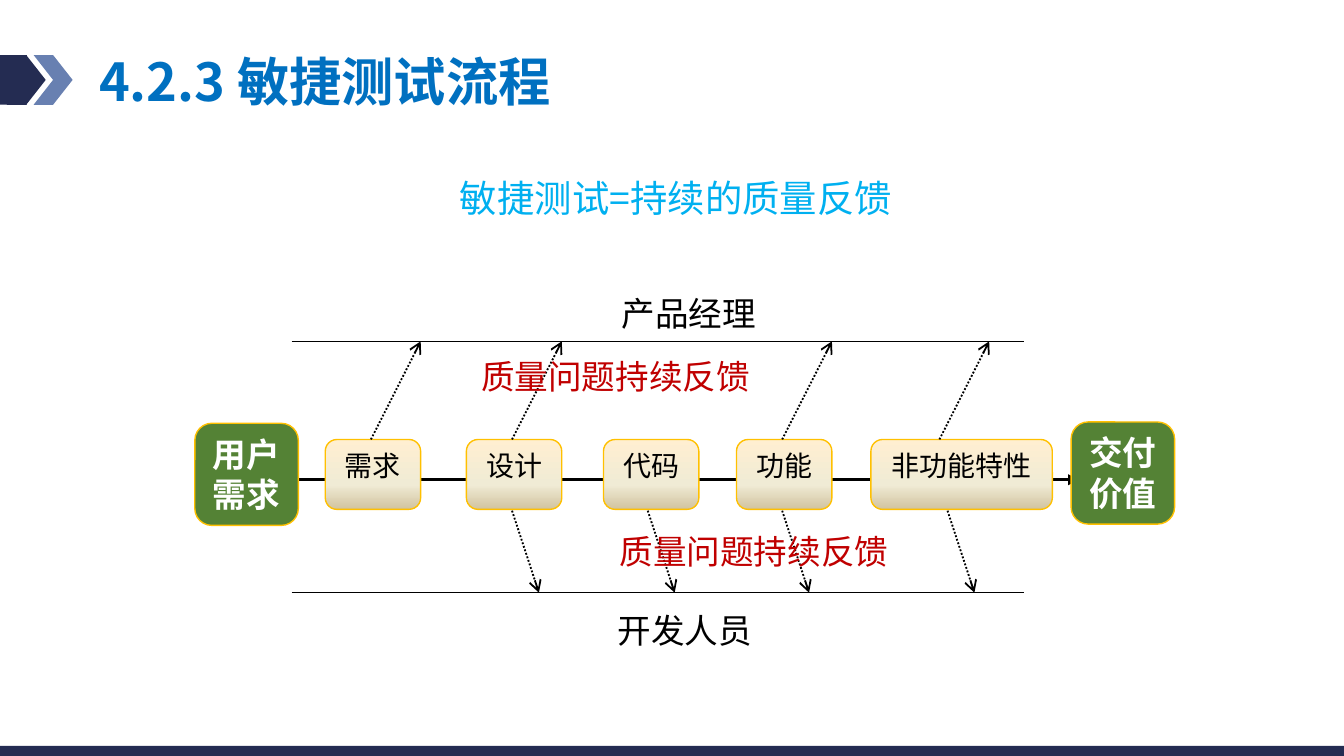
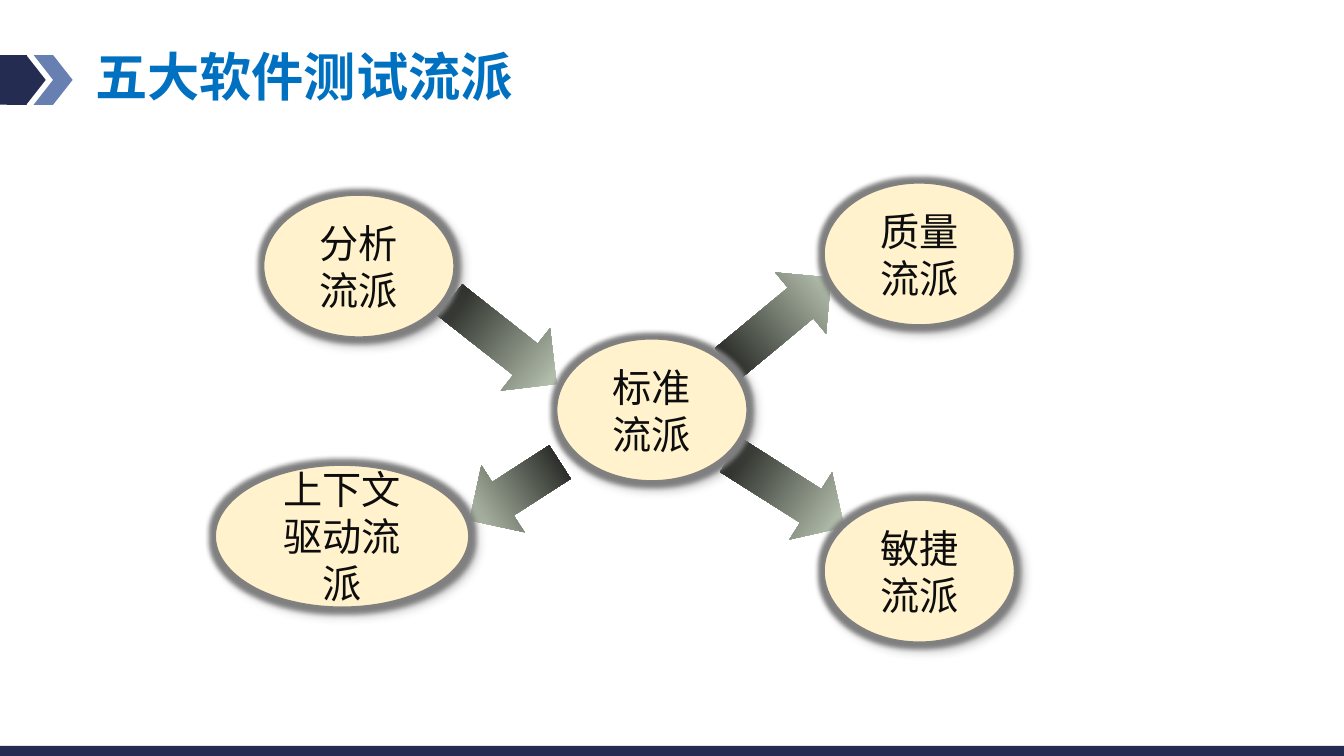
from lxml import etree
from pptx import Presentation
from pptx import util as u
from pptx.dml.color import RGBColor
from pptx.enum import dml, shapes, text
from pptx.oxml import ns

NAVY = RGBColor(0x24, 0x2C, 0x52)
STEEL = RGBColor(0x68, 0x80, 0xB1)
BLUE = RGBColor(0x00, 0x70, 0xC0)
SKY = RGBColor(0x00, 0xB0, 0xF0)
GOLD = RGBColor(0xFF, 0xC0, 0x00)
GREEN = RGBColor(0x54, 0x82, 0x35)
RED = RGBColor(0xC0, 0x00, 0x00)
CREAM = RGBColor(0xFF, 0xF2, 0xCC)
GREY = RGBColor(0x80, 0x80, 0x80)
SHADE = RGBColor(0x59, 0x59, 0x59)
INK = RGBColor(0x0D, 0x0D, 0x0D)
BLACK = RGBColor(0, 0, 0)
WHITE = RGBColor(0xFF, 0xFF, 0xFF)
SAND = [(0, RGBColor(0xFF, 0xEF, 0xD1)), (65, RGBColor(0xF0, 0xEB, 0xD5)),
        (100, RGBColor(0xD1, 0xC3, 0x9F))]
MOSS = [(0, RGBColor(0xE2, 0xF0, 0xD9)), (100, BLACK)]

SANS, BODY = "Noto Sans CJK SC", "Calibri"
COLS, ROWS = 100, 56.25
KIND = shapes.MSO_SHAPE
MID = text.PP_ALIGN.CENTER
TIGHT = (0.7, 0.4)


def sub(node, tag, **attrs):
    return etree.SubElement(node, ns.qn("a:" + tag),
                            {key: str(val) for key, val in attrs.items()})


class Deck:
    """Style and current slide; lengths are cells of a 100-column grid."""

    def __init__(self):
        self.prs = Presentation()
        self.prs.slide_width = u.Inches(10)
        self.cell = self.prs.slide_width / COLS
        self.prs.slide_height = int(self.cell * ROWS)

    def size(self, *cells):
        return [round(n * self.cell) for n in cells]

    def page(self):
        self.slide = self.prs.slides.add_slide(self.prs.slide_layouts[6])
        self.shape(KIND.RECTANGLE, (0, 4.1, 2, 3.7), NAVY)
        for left, hue in ((2.5, STEEL), (0.5, NAVY)):
            self.shape(KIND.CHEVRON, (left, 4.1, 2.9, 3.7), hue)
        self.shape(KIND.RECTANGLE, (0, 55.5, COLS, ROWS - 55.5), NAVY)

    def letter(self, item, words, pts, hue, font=BODY, bold=False, align=MID,
               pads=(1, 0.5), anchor=text.MSO_ANCHOR.TOP, gap=None, wrap=True):
        frame = item.text_frame
        frame.word_wrap = wrap
        frame.vertical_anchor = anchor
        side, edge = self.size(*pads)
        frame.margin_left = frame.margin_right = side
        frame.margin_top = frame.margin_bottom = edge
        para = frame.paragraphs[0]
        para.alignment = align
        para.line_spacing = gap
        run = para.add_run()
        run.text = words
        run.font.size, run.font.bold = u.Pt(pts), bold
        run.font.name = font
        run.font.color.rgb = hue
        sub(run.font._element, "ea", typeface=SANS)

    def label(self, box, words, pts, hue, **style):
        item = self.slide.shapes.add_textbox(*self.size(*box))
        self.letter(item, words, pts, hue, **style)

    def title(self, box, words):
        self.label(box, words, 28, BLUE, font=SANS, bold=True,
                   align=text.PP_ALIGN.LEFT, gap=0.9, wrap=False)

    def shape(self, kind, box, fill, edge=None, width=0.75, turn=0):
        item = self.slide.shapes.add_shape(kind, *self.size(*box))
        item.shadow.inherit = False
        item.rotation = turn
        item.fill.solid()
        item.fill.fore_color.rgb = fill
        if edge is None:
            item.line.fill.background()
        else:
            item.line.color.rgb = edge
            item.line.width = u.Pt(width)
        return item

    def fade(self, item, stops, angle):
        """Fill with a gradient; the angle runs clockwise."""
        item.fill.gradient()
        grad = item._element.spPr.find(ns.qn("a:gradFill"))
        for child in list(grad):
            grad.remove(child)
        row = sub(grad, "gsLst")
        for place, hue in stops:
            sub(sub(row, "gs", pos=place * 1000), "srgbClr", val=hue)
        sub(grad, "lin", ang=angle * 60000, scaled=0)

    def halo(self, item):
        """Add a grey glow and a soft shadow."""
        group = item._element.spPr.find(ns.qn("a:effectLst"))
        glow = sub(group, "glow", rad=u.Pt(5))
        sub(glow, "srgbClr", val=GREY)
        drop = sub(group, "outerShdw", blurRad=u.Pt(4), dist=u.Pt(3),
                   dir=45 * 60000, algn="tl", rotWithShape=0)
        sub(sub(drop, "srgbClr", val=SHADE), "alpha", val=43000)

    def line(self, start, end, width, head=None, dots=False):
        item = self.slide.shapes.add_connector(
            shapes.MSO_CONNECTOR.STRAIGHT, *self.size(*start, *end))
        item.line.color.rgb = BLACK
        item.line.width = u.Pt(width)
        if dots:
            item.line.dash_style = dml.MSO_LINE.ROUND_DOT
        if head:
            sub(item._element.spPr.find(ns.qn("a:ln")), "tailEnd", type=head)
        sub(item._element.spPr, "effectLst")

    def step(self, left, width, words):
        item = self.shape(KIND.ROUNDED_RECTANGLE, (left, 32.7, width, 5.2),
                          WHITE, GOLD)
        self.fade(item, SAND, 90)
        self.letter(item, words, 15, BLACK, pads=TIGHT)

    def goal(self, left, top, words):
        item = self.shape(KIND.ROUNDED_RECTANGLE, (left, top, 7.7, 7.6),
                          GREEN, GOLD)
        self.letter(item, words, 18, WHITE, bold=True, pads=TIGHT)

    def school(self, left, top, words, width=14.2):
        item = self.shape(KIND.OVAL, (left, top, width, 10.6), CREAM, GREY, 1)
        self.halo(item)
        self.letter(item, words, 21, INK, font=SANS,
                    anchor=text.MSO_ANCHOR.MIDDLE)

    def arrow(self, left, top, width, turn):
        item = self.shape(KIND.RIGHT_ARROW, (left, top, width, 5.9), WHITE,
                          turn=turn)
        self.fade(item, MOSS, 180)


def flow(deck):
    deck.page()
    deck.label((23.7, 12.9, 53.2, 6.9), "敏捷测试=持续的质量反馈", 20, SKY,
               font=SANS, gap=0.9)
    deck.line((21.7, 35.7), (80.3, 35.7), 1.5, "triangle")
    for left, width, words in ((24.2, 7.1, "需求"), (34.7, 7.1, "设计"),
                               (44.9, 7.1, "代码"), (54.8, 7.1, "功能"),
                               (64.8, 13.5, "非功能特性")):
        deck.step(left, width, words)
    upper, lower = 25.4, 44.1
    for row in (upper, lower):
        deck.line((21.7, row), (76.2, row), 0.75)
    deck.goal(14.5, 31.5, "用户需求")
    for col in (27.6, 38.1, 58.2, 69.9):
        deck.line((col, 32.7), (col + 3.7, upper), 1, "arrow", dots=True)
    for col in (38.1, 48.2, 58.2, 70.5):
        deck.line((col, 38), (col + 2, lower), 1, "arrow", dots=True)
    for box, words, hue in (
            ((44.3, 21.4, 13.9, 3.5), "产品经理", BLACK),
            ((44, 45, 13.9, 3.4), "开发人员", BLACK),
            ((34.5, 26.1, 22.6, 5.2), "质量问题持续反馈", RED),
            ((44.6, 39.1, 23, 5.2), "质量问题持续反馈", RED)):
        deck.label(box, words, 18, hue, pads=TIGHT)
    deck.goal(79.7, 31.4, "交付价值")
    deck.title((6.4, 3.7, 37.4, 5.3), "4.2.3 敏捷测试流程")


def schools(deck):
    deck.page()
    deck.title((6.1, 3.3, 53.7, 5.6), "五大软件测试流派")
    for left, top, width, turn in ((32.4, 22.5, 10.1, 38.2),
                                   (53.6, 33.6, 10, 32.4),
                                   (53, 20.9, 10, 320.3),
                                   (34.3, 33.6, 8, 147.2)):
        deck.arrow(left, top, width, turn)
    deck.school(19.6, 14.5, "分析流派")
    deck.school(61.3, 13.6, "质量流派")
    deck.school(16, 34.6, "上下文驱动流派", 18.9)
    deck.school(61.3, 37.2, "敏捷流派")
    deck.school(41.4, 25.2, "标准流派")


def main():
    deck = Deck()
    flow(deck)
    schools(deck)
    deck.prs.save("out.pptx")


if __name__ == "__main__":
    main()
